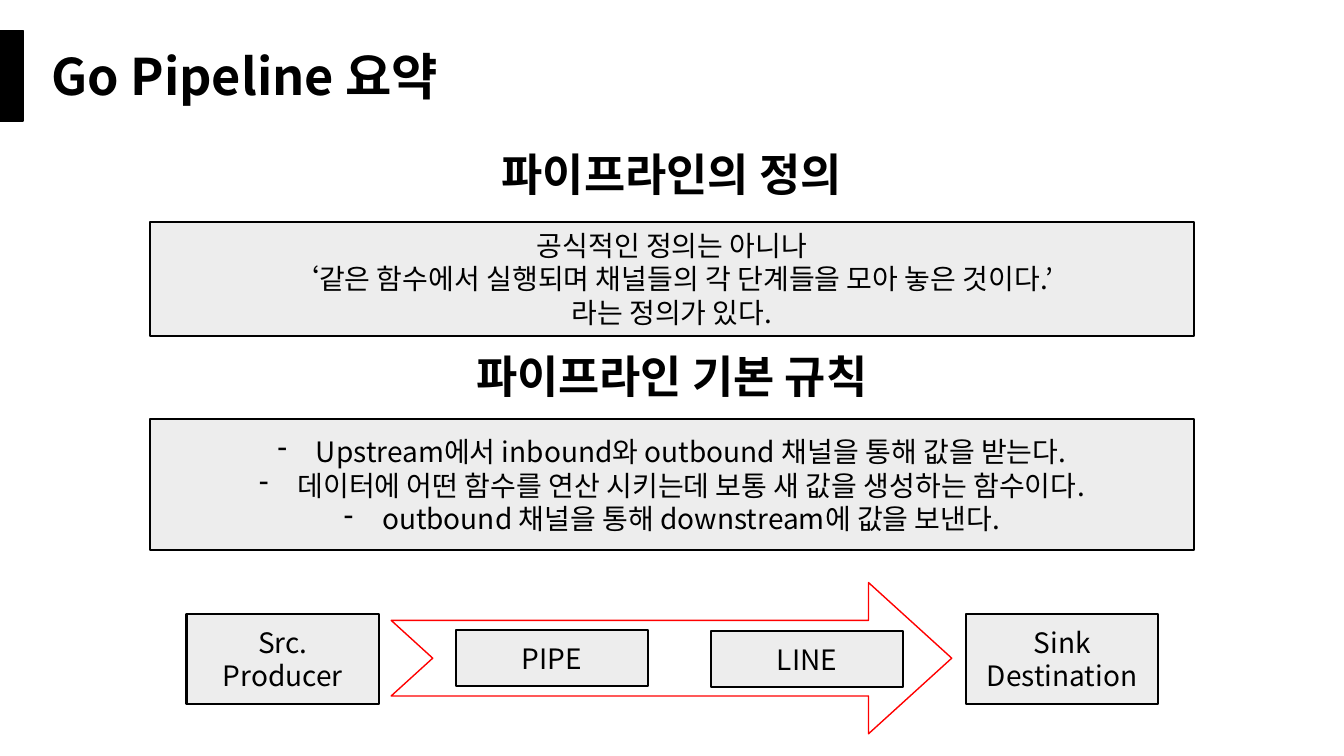
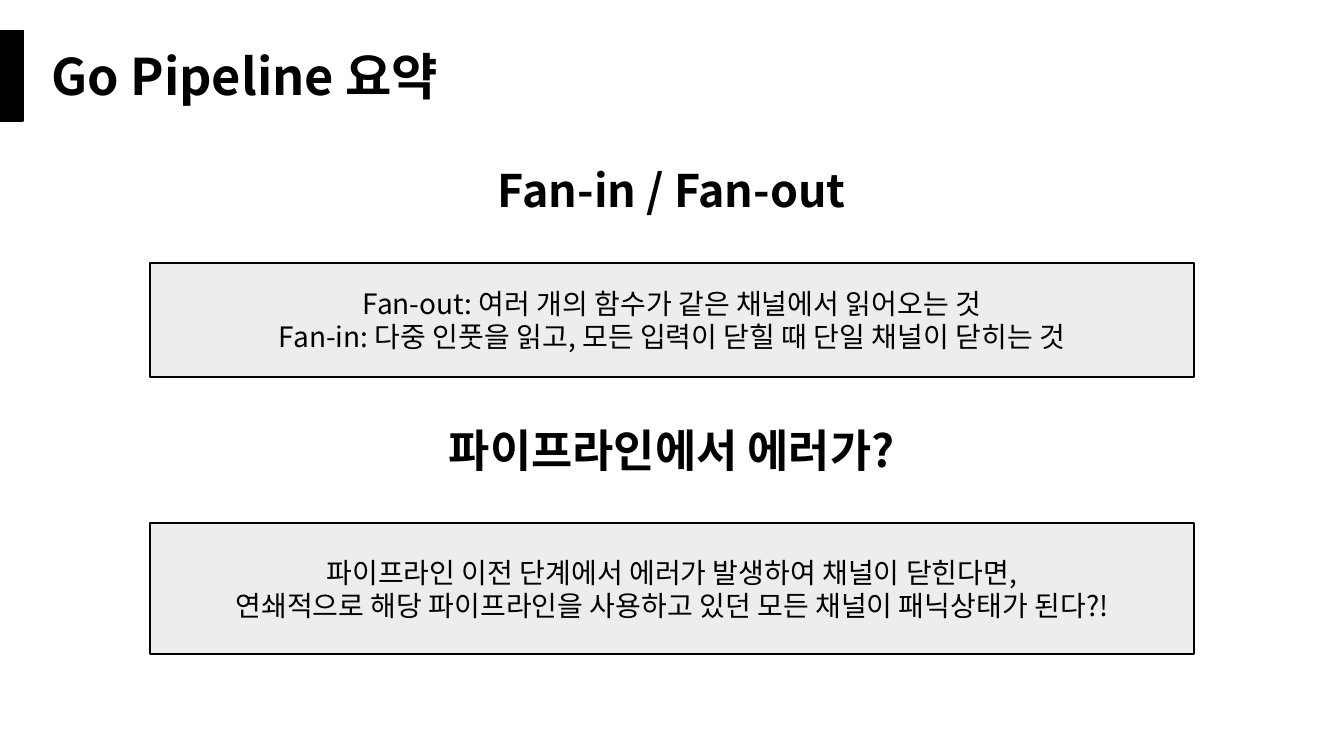
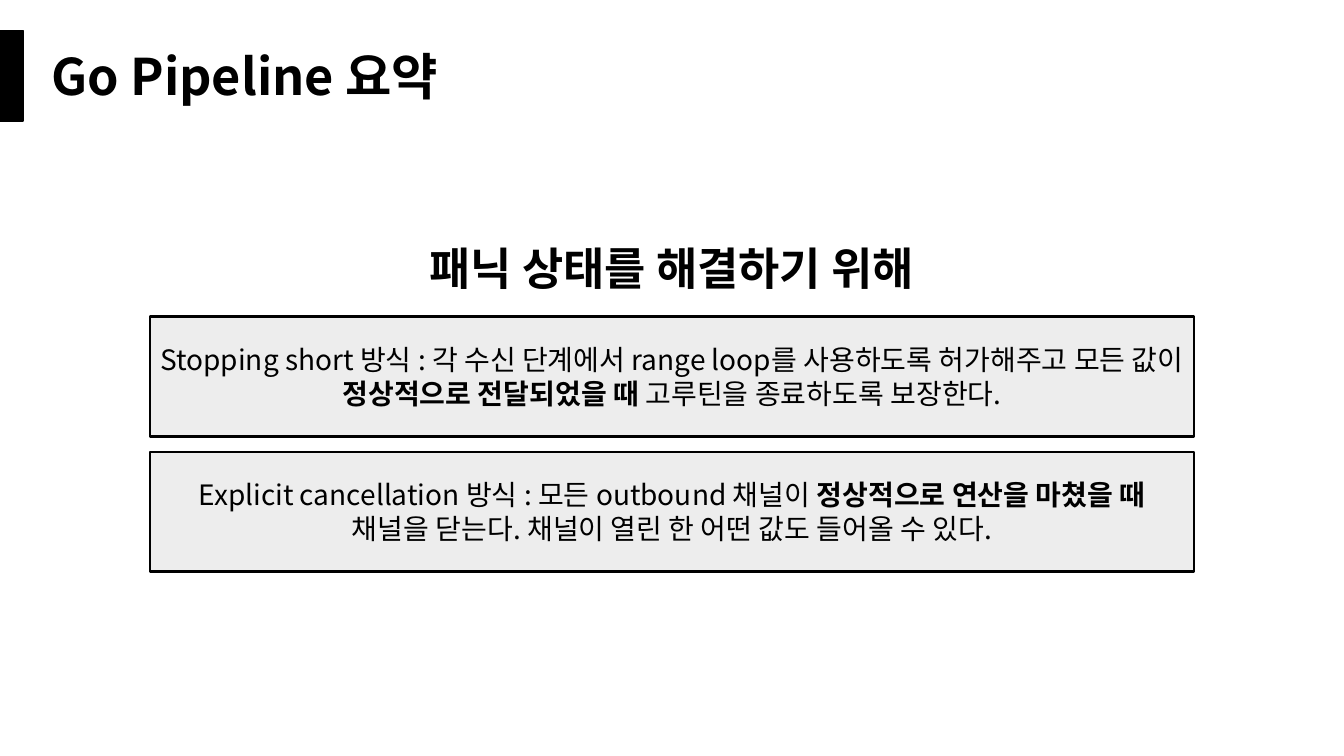
import pptx
import pptx.util
import pptx.dml.color
import pptx.enum.shapes
import pptx.enum.text
import pptx.oxml
import pptx.oxml.ns

Inches = pptx.util.Inches
Pt = pptx.util.Pt
Kind = pptx.enum.shapes.MSO_SHAPE
Align = pptx.enum.text.PP_ALIGN
Anchor = pptx.enum.text.MSO_ANCHOR

FONT = "Noto Sans CJK KR"
COLOR = {"ink": "000000", "panel": "EDEDED", "flow": "FF0000"}
NS = pptx.oxml.ns.nsdecls("a")


def write(shape, text, size=20, bold=False, align=Align.CENTER,
          anchor=Anchor.MIDDLE, dash=False):
    """Fill a shape with one paragraph per line; ** toggles bold."""
    frame = shape.text_frame
    frame.word_wrap = True
    frame.auto_size = pptx.enum.text.MSO_AUTO_SIZE.NONE
    frame.vertical_anchor = anchor
    for i, line in enumerate(text.split("\n")):
        para = frame.add_paragraph() if i else frame.paragraphs[0]
        para.alignment = align
        if dash:
            props = para._p.get_or_add_pPr()
            props.set("marL", str(Inches(0.38)))
            props.set("indent", str(-Inches(0.38)))
            props.append(pptx.oxml.parse_xml(f'<a:buChar {NS} char="-"/>'))
        for j, part in enumerate(line.split("**")):
            run = para.add_run()
            run.text = part
            run.font.size = Pt(size)
            run.font.bold = bold or j % 2 == 1
            run.font.name = FONT
            run.font.color.rgb = pptx.dml.color.RGBColor.from_string(COLOR["ink"])
            run._r.rPr.append(pptx.oxml.parse_xml(f'<a:ea {NS} typeface="{FONT}"/>'))


def draw(slide, kind, place, fill="panel", line="ink", width=1.5):
    """Add a preset shape at place (left, top, width, height in inches)."""
    shape = slide.shapes.add_shape(kind, *map(Inches, place))
    shape.shadow.inherit = False
    if fill:
        shape.fill.solid()
        shape.fill.fore_color.rgb = pptx.dml.color.RGBColor.from_string(COLOR[fill])
    else:
        shape.fill.background()
    shape.line.color.rgb = pptx.dml.color.RGBColor.from_string(COLOR[line])
    shape.line.width = Pt(width)
    return shape


deck = pptx.Presentation()
deck.slide_width = Inches(13.33)
deck.slide_height = Inches(7.5)

# Per slide: headings (top, text) and panels (top, height, text, dash)
PAGES = [
    ([(1.41, "파이프라인의 정의"), (3.41, "파이프라인 기본 규칙")],
     [(2.2, 1.13, "공식적인 정의는 아니나\n"
       "‘같은 함수에서 실행되며 채널들의 각 단계들을 모아 놓은 것이다.’\n"
       "라는 정의가 있다.", False),
      (4.16, 1.3, "Upstream에서 inbound와 outbound 채널을 통해 값을 받는다.\n"
       "데이터에 어떤 함수를 연산 시키는데 보통 새 값을 생성하는 함수이다.\n"
       "outbound 채널을 통해 downstream에 값을 보낸다.", True)]),
    ([(1.57, "Fan-in / Fan-out"), (4.14, "파이프라인에서 에러가?")],
     [(2.61, 1.13, "Fan-out: 여러 개의 함수가 같은 채널에서 읽어오는 것\n"
       "Fan-in: 다중 인풋을 읽고, 모든 입력이 닫힐 때 단일 채널이 닫히는 것", False),
      (5.19, 1.3, "파이프라인 이전 단계에서 에러가 발생하여 채널이 닫힌다면,\n"
       "연쇄적으로 해당 파이프라인을 사용하고 있던 모든 채널이 패닉상태가 된다?!", False)]),
    ([(2.34, "패닉 상태를 해결하기 위해")],
     [(3.14, 1.19, "Stopping short 방식 : 각 수신 단계에서 range loop를 사용하도록 "
       "허가해주고 모든 값이 **정상적으로 전달되었을 때 **고루틴을 종료하도록 보장한다.", False),
      (4.48, 1.19, "Explicit cancellation 방식 : 모든 outbound 채널이 "
       "**정상적으로 연산을 마쳤을 때 **채널을 닫는다. "
       "채널이 열린 한 어떤 값도 들어올 수 있다.", False)]),
]

for heads, panels in PAGES:
    slide = deck.slides.add_slide(deck.slide_layouts[5])
    title = slide.shapes.title
    title.left, title.top = Inches(0.41), Inches(0.4)
    title.width, title.height = Inches(7.73), Inches(0.71)
    write(title, "Go Pipeline 요약", size=36, bold=True,
          align=Align.LEFT, anchor=Anchor.TOP)
    draw(slide, Kind.RECTANGLE, (0, 0.3, 0.23, 0.9), fill="ink", width=1)
    for top, high, text, dash in panels:
        panel = draw(slide, Kind.RECTANGLE, (1.49, top, 10.35, high))
        write(panel, text, dash=dash)
    for top, text in heads:
        head = slide.shapes.add_textbox(*map(Inches, (2.8, top, 7.73, 0.64)))
        write(head, text, size=32, bold=True, anchor=Anchor.TOP)

# Flow from source to sink on the first slide
first = deck.slides[0]
STAGES = [
    (1.85, 6.09, 0.89, "Src.\nProducer"),
    (4.52, 6.25, 0.56, "PIPE"),
    (7.05, 6.26, 0.56, "LINE"),
    (9.58, 6.09, 0.89, "Sink\nDestination"),
]
for left, top, high, text in STAGES:
    write(draw(first, Kind.RECTANGLE, (left, top, 1.91, high)), text)
arrow = draw(first, Kind.NOTCHED_RIGHT_ARROW, (3.88, 5.78, 5.56, 1.5),
             fill=None, line="flow", width=1)
arrow.adjustments[0] = 0.5
arrow.adjustments[1] = 0.55

deck.save("out.pptx")
